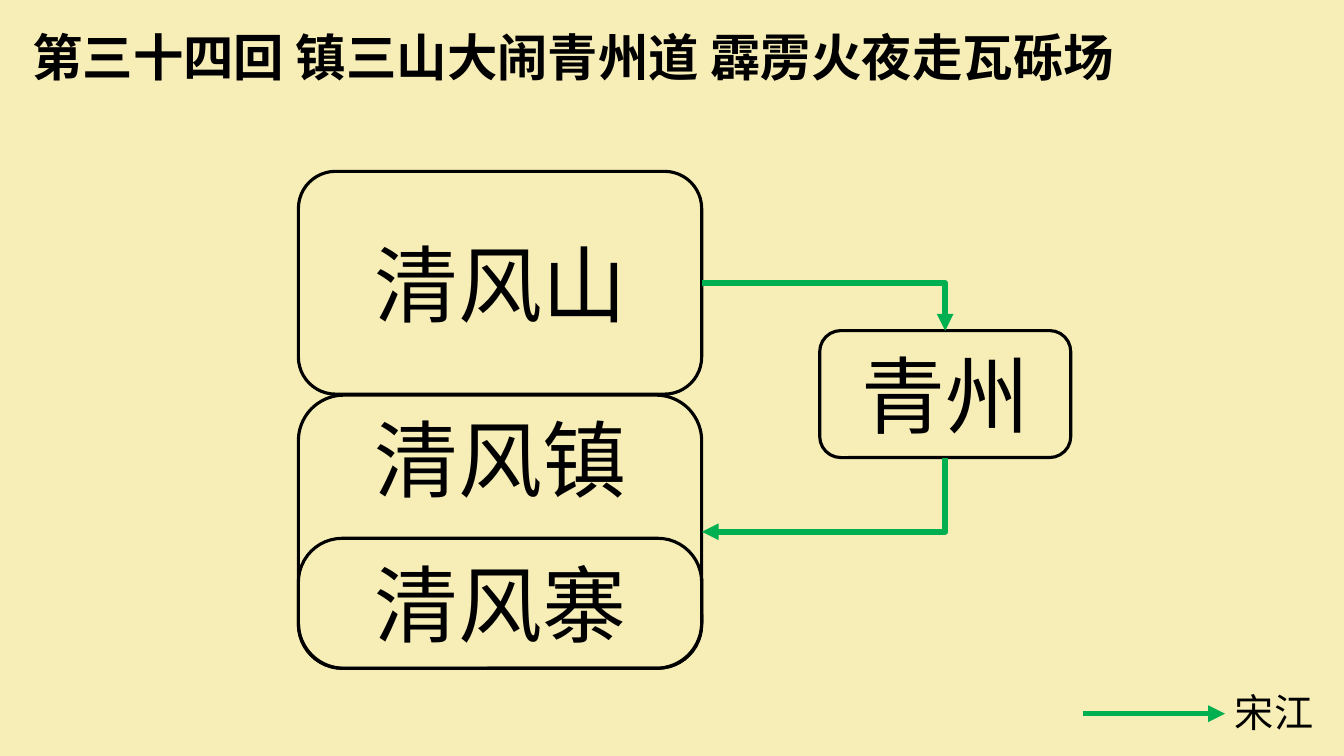
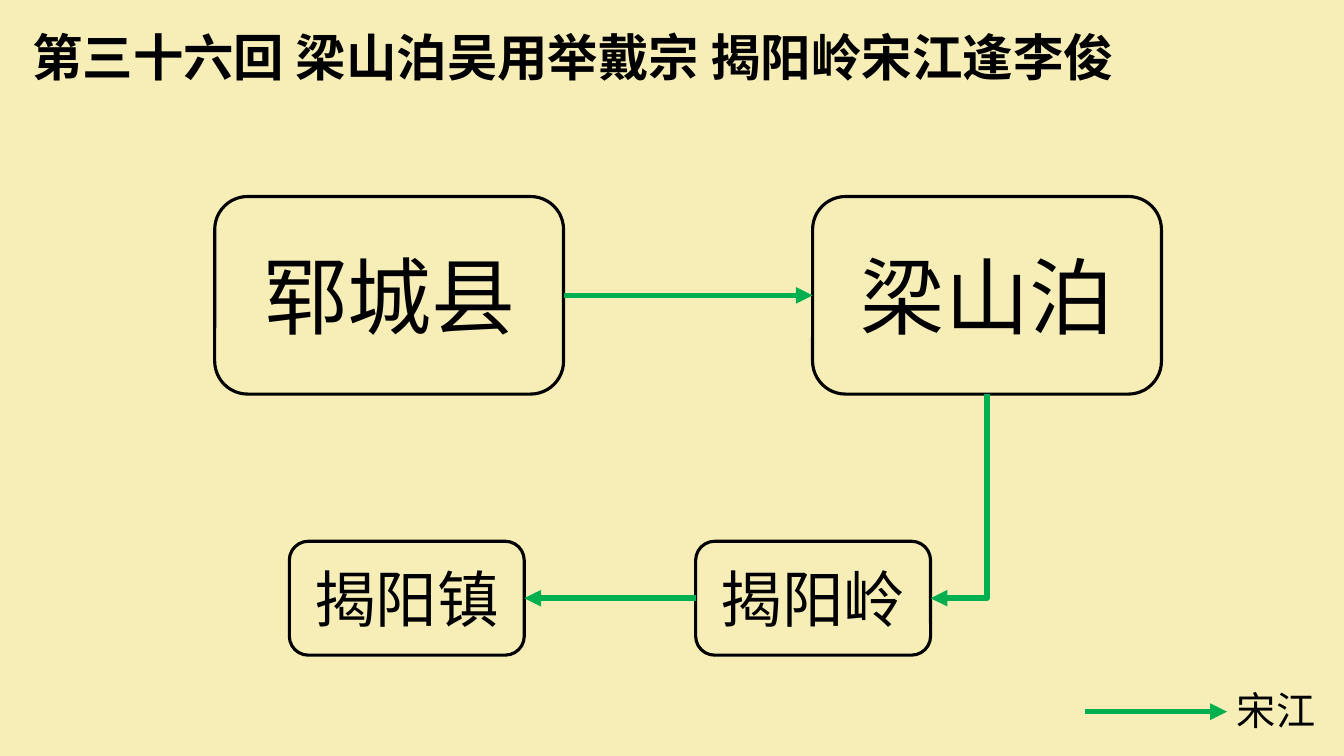
import pptx
import pptx.dml.color
import pptx.enum.shapes
import pptx.enum.text
import pptx.oxml
import pptx.oxml.ns
import pptx.util
from pptx.util import Inches

PAPER = pptx.dml.color.RGBColor(0xF7, 0xEE, 0xB7)
INK = pptx.dml.color.RGBColor(0x00, 0x00, 0x00)
ROUTE = pptx.dml.color.RGBColor(0x00, 0xB0, 0x50)
FONT = "Noto Sans CJK SC"
TITLE_ONLY = 5
# Connection sites of a rounded rectangle
TOP, LEFT, BOTTOM, RIGHT = range(4)
ALIGN = pptx.enum.text.PP_ALIGN
ANCHOR = pptx.enum.text.MSO_ANCHOR
CONNECTOR = pptx.enum.shapes.MSO_CONNECTOR


def add_element(parent, tag, **attributes):
    element = pptx.oxml.parse_xml(f"<a:{tag} {pptx.oxml.ns.nsdecls('a')}/>")
    for name, value in attributes.items():
        element.set(name, value)
    parent.append(element)
    return element


def write_text(shape, text, size, align=ALIGN.LEFT, anchor=ANCHOR.TOP, bold=False):
    frame = shape.text_frame
    frame.text = text
    frame.vertical_anchor = anchor
    paragraph = frame.paragraphs[0]
    paragraph.alignment = align
    font = paragraph.font
    font.name = FONT
    font.size = pptx.util.Pt(size)
    font.bold = bold
    font.color.rgb = INK
    # East Asian typeface
    add_element(paragraph._p.pPr.find(pptx.oxml.ns.qn("a:defRPr")), "ea", typeface=FONT)
    return frame


def add_place(slide, name, left, top, width, height, size=60, corner=None):
    """Outlined rounded box with the name of a place."""
    box = slide.shapes.add_shape(
        pptx.enum.shapes.MSO_SHAPE.ROUNDED_RECTANGLE,
        Inches(left), Inches(top), Inches(width), Inches(height))
    if corner is not None:
        box.adjustments[0] = corner
    box.shadow.inherit = False
    box.fill.background()
    box.line.color.rgb = INK
    box.line.width = pptx.util.Pt(2.25)
    write_text(box, name, size, ALIGN.CENTER, ANCHOR.MIDDLE)
    return box


def add_arrow(slide, kind=CONNECTOR.STRAIGHT, begin=(0, 0), end=(0, 0)):
    arrow = slide.shapes.add_connector(kind, *map(Inches, begin + end))
    arrow.line.color.rgb = ROUTE
    arrow.line.width = pptx.util.Pt(4)
    add_element(arrow.line._get_or_add_ln(), "tailEnd", type="triangle")
    add_element(arrow._element.spPr, "effectLst")
    return arrow


def add_route(slide, source, source_site, target, target_site):
    """Arrow between two places, with one bend where the sides are not opposite."""
    bent = (source_site - target_site) % 2 == 1
    arrow = add_arrow(slide, CONNECTOR.ELBOW if bent else CONNECTOR.STRAIGHT)
    arrow.begin_connect(source, source_site)
    arrow.end_connect(target, target_site)
    if not bent:
        return
    properties = arrow._element.spPr
    properties.find(pptx.oxml.ns.qn("a:prstGeom")).set("prst", "bentConnector2")
    if source_site == BOTTOM:
        # Down, then left: a quarter turn of the right-then-down bend
        center_x = arrow.left + arrow.width // 2
        center_y = arrow.top + arrow.height // 2
        width, height = arrow.height, arrow.width
        arrow.left, arrow.top = center_x - width // 2, center_y - height // 2
        arrow.width, arrow.height = width, height
        frame = properties.find(pptx.oxml.ns.qn("a:xfrm"))
        frame.attrib.pop("flipH", None)
        frame.set("rot", "5400000")


def add_legend(slide, left, middle):
    """Key at the bottom right: arrow and traveller."""
    length = 1.41
    add_arrow(slide, begin=(left, middle), end=(left + length, middle))
    label = slide.shapes.add_textbox(
        Inches(left + length), Inches(middle - 0.3), Inches(1.01), Inches(0.57))
    write_text(label, "宋江", 28).word_wrap = True


def add_chapter(presentation, heading, legend_left, legend_middle):
    """Slide with the chapter heading and the key."""
    slide = presentation.slides.add_slide(presentation.slide_layouts[TITLE_ONLY])
    title = slide.shapes.title
    title.left, title.top = Inches(0.22), Inches(0.21)
    title.width, title.height = Inches(11.13), Inches(0.71)
    write_text(title, heading, 36, bold=True).word_wrap = False
    add_legend(slide, legend_left, legend_middle)
    return slide


def build_qingzhou(presentation):
    slide = add_chapter(
        presentation, "第三十四回 镇三山大闹青州道 霹雳火夜走瓦砾场", 10.74, 7.08)
    # Mountain above the town, with the fort inside the town
    left, width = 2.96, 4
    mountain = add_place(slide, "清风山", left, 1.7, width, 2.21)
    town = add_place(slide, "清风镇", left, 3.92, width, 2.71)
    town.text_frame.margin_top = 0
    town.text_frame.margin_bottom = Inches(1.47)
    add_place(slide, "清风寨", left, 5.34, width, 1.29, corner=0.337)
    city = add_place(slide, "青州", 8.13, 3.28, 2.49, 1.26)
    # Journey
    add_route(slide, mountain, RIGHT, city, TOP)
    add_route(slide, city, BOTTOM, town, RIGHT)


def build_jieyang(presentation):
    slide = add_chapter(
        presentation, "第三十六回 梁山泊吴用举戴宗 揭阳岭宋江逢李俊", 10.76, 7.06)
    # Large places above, small places below
    county, marsh = [
        add_place(slide, name, left, 1.95, 3.46, 1.96)
        for name, left in (("郓城县", 2.13), ("梁山泊", 8.06))]
    town, ridge = [
        add_place(slide, name, left, 5.37, 2.33, 1.13, size=44)
        for name, left in (("揭阳镇", 2.87), ("揭阳岭", 6.9))]
    # Journey
    add_route(slide, county, RIGHT, marsh, LEFT)
    add_route(slide, marsh, BOTTOM, ridge, RIGHT)
    add_route(slide, ridge, LEFT, town, RIGHT)


def main():
    presentation = pptx.Presentation()
    presentation.slide_width = Inches(13.33)
    presentation.slide_height = Inches(7.5)
    background = presentation.slide_master.background.fill
    background.solid()
    background.fore_color.rgb = PAPER
    build_qingzhou(presentation)
    build_jieyang(presentation)
    presentation.save("out.pptx")


if __name__ == "__main__":
    main()
